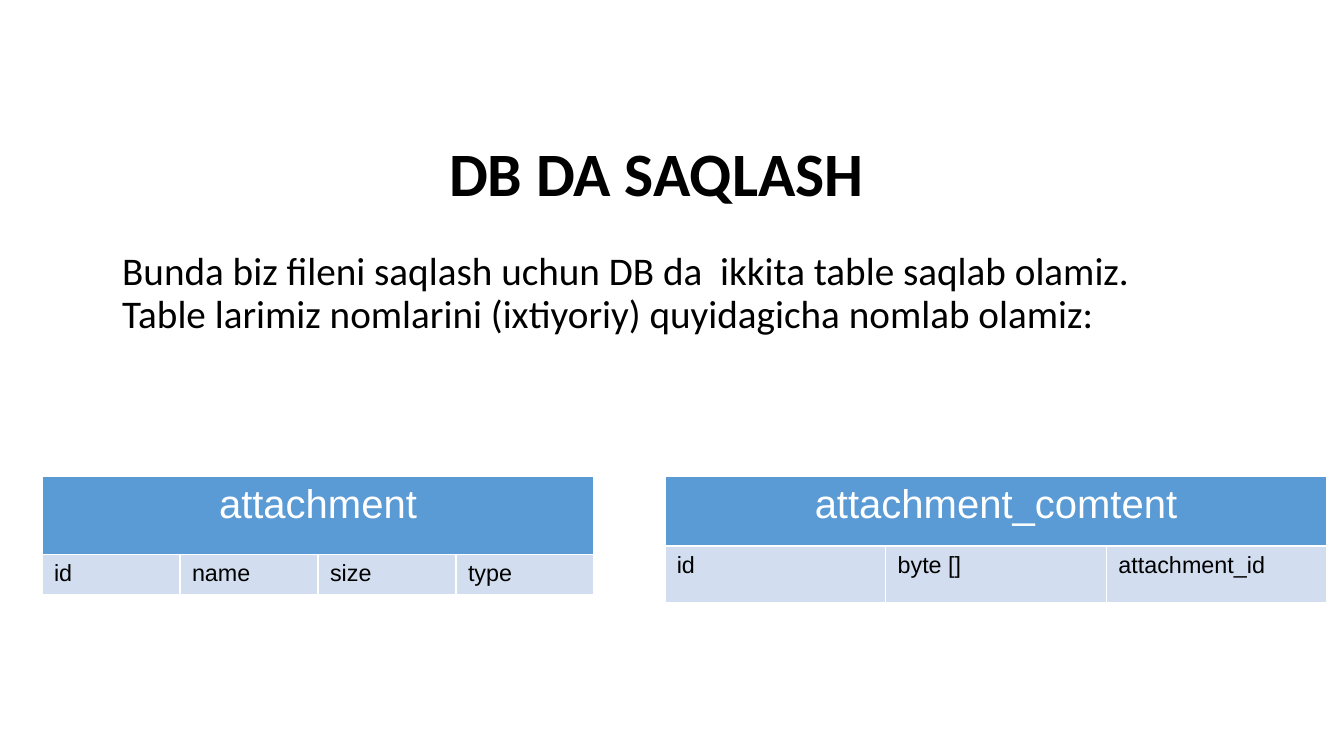
from pptx import Presentation
from pptx.dml.color import RGBColor as RGB
from pptx.enum.text import MSO_ANCHOR as Anchor, PP_ALIGN as Align
from pptx.util import Inches, Pt

COLORS = {"ink": "000000", "white": "FFFFFF", "head": "5B9BD5", "row": "D2DEEF"}


class Deck:
    def __init__(self, wide, high):
        self.show = Presentation()
        self.show.slide_width = Inches(wide)
        self.show.slide_height = Inches(high)
        self.slide = self.show.slides.add_slide(self.show.slide_layouts[6])

    def style(self, para, size, face, color="ink", bold=False, align=Align.LEFT):
        font = para.font
        font.size, font.name, font.bold = Pt(size), face, bold
        font.color.rgb = RGB.from_string(COLORS[color])
        para.alignment = align

    def text(self, box, lines, size, anchor=Anchor.TOP, **look):
        frame = self.slide.shapes.add_textbox(*map(Inches, box)).text_frame
        frame.word_wrap = True
        frame.vertical_anchor = anchor
        frame.margin_left = frame.margin_right = Inches(0.1)
        frame.margin_top = frame.margin_bottom = Inches(0.1)
        frame.text = "\n".join(lines)
        for para in frame.paragraphs:
            para.line_spacing = 0.9
            self.style(para, size, "Calibri", **look)

    def cell(self, cell, text, fill, size, **look):
        cell.text = text
        cell.fill.solid()
        cell.fill.fore_color.rgb = RGB.from_string(COLORS[fill])
        self.style(cell.text_frame.paragraphs[0], size, "Arial", **look)

    def table(self, left, top, width, highs, name, fields):
        count = len(fields)
        box = (left, top, width * count, sum(highs))
        grid = self.slide.shapes.add_table(2, count, *map(Inches, box)).table
        for col in grid.columns:
            col.width = Inches(width)
        for row, high in zip(grid.rows, highs):
            row.height = Inches(high)
        head = grid.cell(0, 0)
        head.merge(grid.cell(0, count - 1))
        self.cell(head, name, "head", 24, color="white", align=Align.CENTER)
        for num, field in enumerate(fields):
            self.cell(grid.cell(1, num), field, "row", 14)


def main():
    deck = Deck(11.2, 6.3)
    deck.text((0.92, 0.4, 9.1, 1.45), ["DB DA SAQLASH"], 37,
              Anchor.BOTTOM, bold=True, align=Align.CENTER)
    deck.text((0.92, 2, 11.5, 4.76), [
        "Bunda biz fileni saqlash uchun DB da  ikkita table saqlab olamiz.",
        "Table larimiz nomlarini (ixtiyoriy) quyidagicha nomlab olamiz:",
    ], 23.5)
    top = 3.97
    deck.table(0.35, top, 1.15, (0.65, 0.31), "attachment",
               ["id", "name", "size", "type"])
    deck.table(5.54, top, 1.84, (0.58, 0.47), "attachment_comtent",
               ["id", "byte []", "attachment_id"])
    deck.show.save("out.pptx")


if __name__ == "__main__":
    main()
